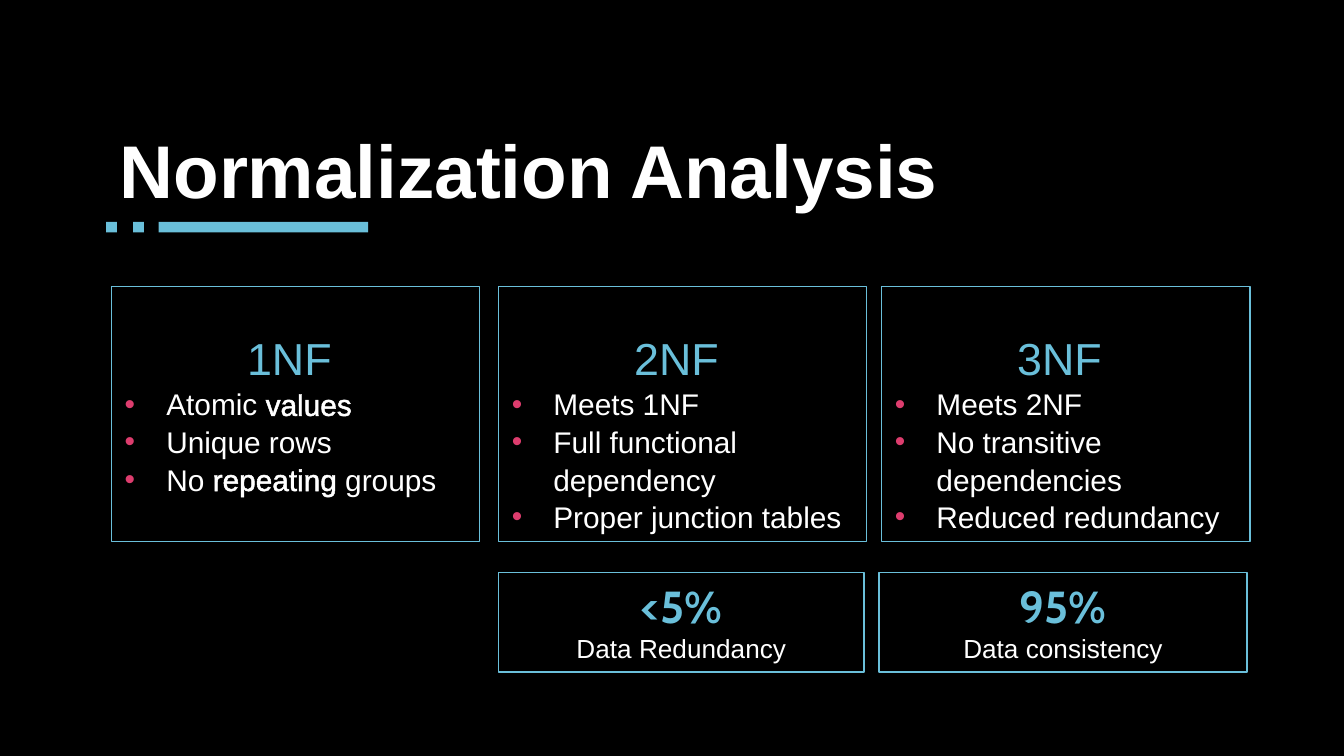
"""Build the Normalization Analysis slide."""
import lxml.etree
import pptx
import pptx.dml.color
import pptx.enum.shapes
import pptx.enum.text
import pptx.oxml.ns
import pptx.util

BLUE, WHITE, PINK, BLACK = "6ABFDA", "FFFFFF", "DD3D6E", "000000"
ALIGN = pptx.enum.text.PP_ALIGN
ANCHOR = pptx.enum.text.MSO_ANCHOR
AUTO_SIZE = pptx.enum.text.MSO_AUTO_SIZE

CARDS = [
    (8.3, "1NF ", [["Atomic ", "values"], ["Unique rows"], ["No ", "repeating", " groups"]]),
    (37.1, "2NF ", [["Meets 1NF"], ["Full functional dependency"], ["Proper junction tables"]]),
    (65.6, "3NF ", [["Meets 2NF"], ["No transitive dependencies"], ["Reduced redundancy"]]),
]
STATS = [(37.1, 27.2, "<5%", "Data Redundancy"), (65.4, 27.4, "95%", "Data consistency")]
ACCENTS = [(7.9, 0.8), (9.9, 0.8), (11.8, 15.6)]


def color(value):
    """Turn a hex string into a colour."""
    return pptx.dml.color.RGBColor.from_string(value)


def grid(units):
    """Turn grid units, 100 columns across the slide, into a length."""
    return pptx.util.Inches(units / 10)


def add_node(parent, tag, **attributes):
    """Append a DrawingML element to a parent."""
    return lxml.etree.SubElement(parent, pptx.oxml.ns.qn(tag), **attributes)


class SlideBuilder:
    """Holds the style and the current slide."""

    def __init__(self, deck):
        """Start a dark title-only slide."""
        self.font = "Arial"
        self.slide = deck.slides.add_slide(deck.slide_layouts[5])
        self.slide.background.fill.solid()
        self.slide.background.fill.fore_color.rgb = color(BLACK)

    def style(self, span, size, tone, bold=False, font=None):
        """Format one run."""
        span.font.name = font or self.font
        span.font.size = pptx.util.Pt(size)
        span.font.bold = bold
        span.font.color.rgb = color(tone)

    def margins(self, frame, side, top):
        """Set the insets of a text frame."""
        frame.margin_left = frame.margin_right = frame.margin_bottom = grid(side)
        frame.margin_top = grid(top)

    def title(self, text, left, top, width, height):
        """Move and format the title placeholder."""
        box = self.slide.shapes.title
        box.left, box.top, box.width, box.height = map(grid, (left, top, width, height))
        frame = box.text_frame
        frame.text = text
        frame.auto_size = AUTO_SIZE.NONE
        frame.vertical_anchor = ANCHOR.TOP
        self.margins(frame, 1, 1.5)
        frame.paragraphs[0].alignment = ALIGN.LEFT
        self.style(frame.paragraphs[0].runs[0], 40, WHITE, bold=True)

    def rectangle(self, left, top, width, height, fill=None):
        """Add a filled bar, or an outlined box when no fill is given."""
        kind = pptx.enum.shapes.MSO_SHAPE.RECTANGLE
        box = self.slide.shapes.add_shape(kind, *map(grid, (left, top, width, height)))
        box.shadow.inherit = False
        if fill:
            box.fill.solid()
            box.fill.fore_color.rgb = color(fill)
            box.line.fill.background()
        else:
            box.fill.background()
            box.line.color.rgb = color(BLUE)
            box.line.width = pptx.util.Pt(0.75)
        return box

    def bullet(self, frame, parts):
        """Add a bulleted paragraph whose second part is outlined."""
        para = frame.add_paragraph()
        properties = para._p.get_or_add_pPr()
        indent = pptx.util.Inches(0.31)
        properties.set("marL", str(indent))
        properties.set("indent", str(-indent))
        add_node(add_node(properties, "a:buClr"), "a:srgbClr", val=PINK)
        add_node(properties, "a:buFont", typeface=self.font)
        add_node(properties, "a:buChar", char="•")
        para.alignment = ALIGN.LEFT
        para.line_spacing = 1.05
        for index, part in enumerate(parts):
            span = para.add_run()
            span.text = part
            self.style(span, 16, WHITE)
            if index == 1:
                outline = add_node(span.font._element, "a:ln", w=str(pptx.util.Pt(0.75)))
                add_node(add_node(outline, "a:solidFill"), "a:srgbClr", val=WHITE)
                span.font._element.insert(0, outline)

    def card(self, left, heading, items):
        """Add a normal-form card with a heading and bullets."""
        frame = self.rectangle(left, 21.3, 27.4, 19).text_frame
        frame.word_wrap = True
        frame.vertical_anchor = ANCHOR.TOP
        self.margins(frame, 1, 1.3)
        frame.text = heading
        para = frame.paragraphs[0]
        para.alignment = ALIGN.CENTER
        para.line_spacing = 1.5
        self.style(para.runs[0], 24, BLUE)
        for parts in items:
            self.bullet(frame, parts)

    def stat(self, left, width, figure, label):
        """Add a key figure with its label."""
        frame = self.rectangle(left, 42.6, width, 7.4).text_frame
        frame.word_wrap = True
        frame.auto_size = AUTO_SIZE.SHAPE_TO_FIT_TEXT
        frame.vertical_anchor = ANCHOR.TOP
        frame.text = f"{figure}\n{label}"
        for para in frame.paragraphs:
            para.alignment = ALIGN.CENTER
        self.style(frame.paragraphs[0].runs[0], 24, BLUE, bold=True, font="Cabin")
        self.style(frame.paragraphs[1].runs[0], 14, WHITE)


def main():
    """Build and save the deck."""
    deck = pptx.Presentation()
    deck.slide_width, deck.slide_height = grid(100), grid(56.25)
    builder = SlideBuilder(deck)
    builder.title("Normalization Analysis", 7.9, 7.7, 84.3, 7.4)
    for left, width in ACCENTS:
        builder.rectangle(left, 16.5, width, 0.8, BLUE)
    for card in CARDS:
        builder.card(*card)
    for stat in STATS:
        builder.stat(*stat)
    deck.save("out.pptx")


if __name__ == "__main__":
    main()
